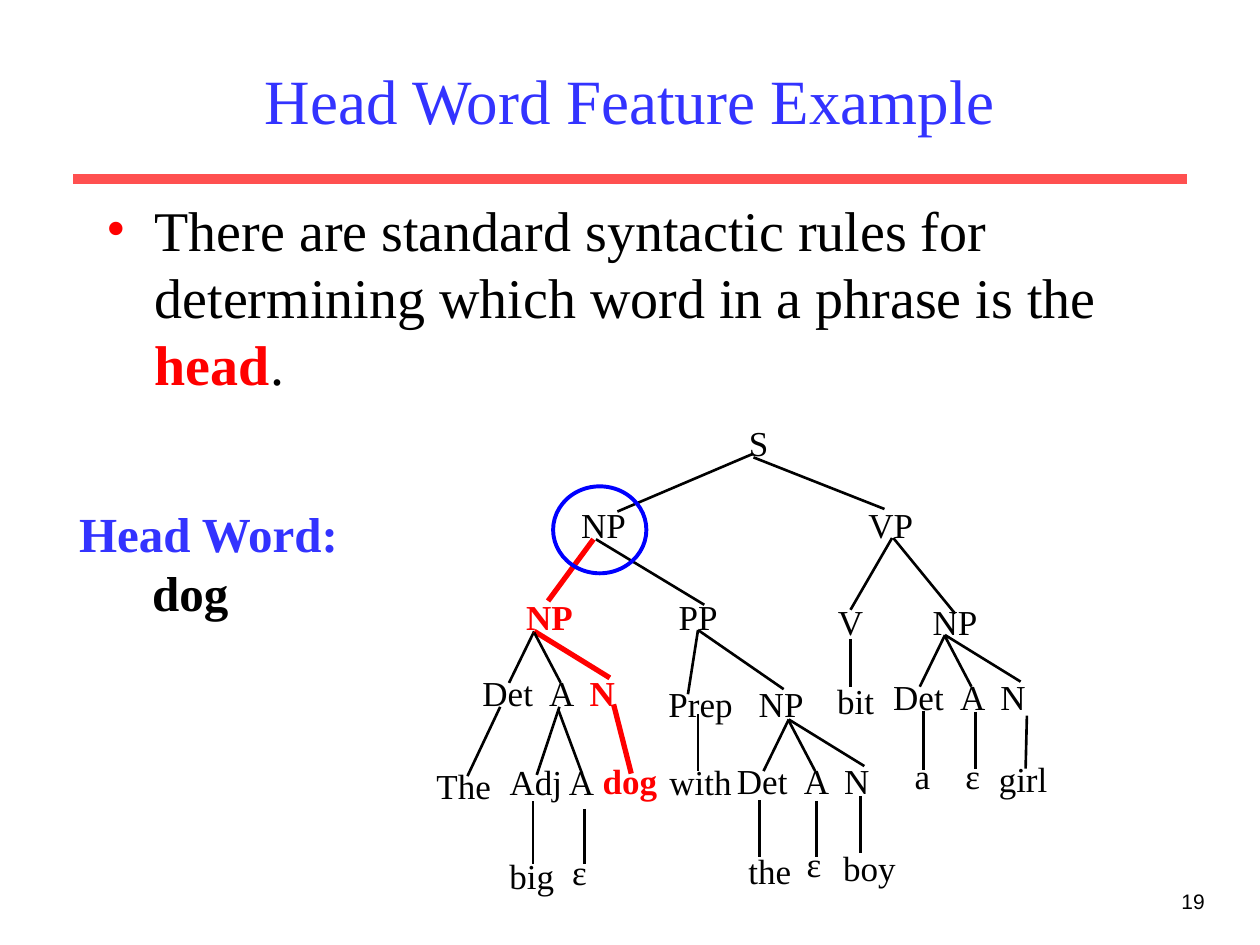
from dataclasses import dataclass
from lxml.etree import SubElement as Sub
from pptx import Presentation
from pptx.dml.color import RGBColor as RGB
from pptx.enum.shapes import MSO_CONNECTOR as Link, MSO_SHAPE as Kind
from pptx.enum.text import MSO_ANCHOR as Anchor, PP_ALIGN as Align
from pptx.oxml.ns import qn
from pptx.util import Inches, Pt


@dataclass(frozen=True)
class Theme:
    black: str = "000000"
    red: str = "FF0000"
    blue: str = "3333FF"
    ring: str = "0000FF"
    rule: str = "FF5050"
    serif: str = "Times New Roman"
    sans: str = "Arial"
    title: int = 36
    body: int = 32
    side: int = 28
    tree: int = 20
    foot: int = 12
    thin: float = 1.5
    thick: float = 3


@dataclass(frozen=True)
class Node:
    word: str
    mid: float
    top: float
    wide: float
    head: bool = False


@dataclass(frozen=True)
class Edge:
    x1: float
    y1: float
    x2: float
    y2: float
    head: bool = False


T = Theme()
deck = Presentation()
deck.slide_width, deck.slide_height = Inches(10), Inches(7.5)
slide = deck.slides.add_slide(deck.slide_layouts[6])


def text_box(x: float, y: float, w: float, h: float, wrap: bool = True):
    box = slide.shapes.add_textbox(Inches(x), Inches(y), Inches(w), Inches(h))
    box.text_frame.word_wrap = wrap
    return box.text_frame


def write(para, text: str, size: int, color: str = T.black,
          bold: bool = False, face: str = T.serif) -> None:
    run = para.add_run()
    run.text = text
    style = {"size": Pt(size), "bold": bold, "name": face}
    for key, value in style.items():
        setattr(run.font, key, value)
    run.font.color.rgb = RGB.from_string(color)


def draw_line(edge: Edge, color: str, width: float) -> None:
    ends = (Inches(v) for v in (edge.x1, edge.y1, edge.x2, edge.y2))
    line = slide.shapes.add_connector(Link.STRAIGHT, *ends)
    line.line.color.rgb = RGB.from_string(color)
    line.line.width = Pt(width)
    Sub(line._element.spPr, qn("a:effectLst"))


def draw_edge(edge: Edge) -> None:
    if edge.head:
        draw_line(edge, T.red, T.thick)
    else:
        draw_line(edge, T.black, T.thin)


def draw_node(node: Node) -> None:
    frame = text_box(node.mid - node.wide / 2, node.top, node.wide, 0.44, False)
    # Slim side margins leave each word room on one line
    frame.margin_left = frame.margin_right = Inches(0.05)
    para = frame.paragraphs[0]
    para.alignment = Align.CENTER
    write(para, node.word, T.tree, T.red if node.head else T.black, node.head)


def draw_fan(x: float, y: float, head: bool = False) -> None:
    """Det, A and N under one noun phrase whose foot is at x, y."""
    draw_edge(Edge(x, y, x - 0.2, y + 0.41))
    draw_edge(Edge(x, y, x + 0.6, y + 0.37, head))
    draw_edge(Edge(x, y + 0.01, x + 0.21, y + 0.41))
    for word, step, wide in (("Det", -0.21, 0.6), ("A", 0.22, 0.4), ("N", 0.54, 0.4)):
        draw_node(Node(word, x + step, y + 0.27, wide, head and word == "N"))


# Rule, page number and title
draw_line(Edge(0.58, 1.42, 9.42, 1.42), T.rule, 6)
para = text_box(7.58, 7, 2.08, 0.5).paragraphs[0]
para.alignment = Align.RIGHT
write(para, "19", T.foot, face=T.sans)

frame = text_box(0.75, 0.25, 8.5, 1.08)
frame.vertical_anchor = Anchor.MIDDLE
para = frame.paragraphs[0]
para.alignment = Align.CENTER
write(para, "Head Word Feature Example", T.title, T.blue)

# Bulleted statement
para = text_box(0.75, 1.5, 8.5, 5.13).paragraphs[0]
para.space_before = Pt(8)
props = para._p.get_or_add_pPr()
props.set("marL", str(Inches(0.38)))
props.set("indent", str(-Inches(0.38)))
Sub(Sub(props, qn("a:buClr")), qn("a:srgbClr"), val=T.red)
Sub(props, qn("a:buFont"), typeface=T.serif)
Sub(props, qn("a:buChar"), char="•")
write(para, "There are standard syntactic rules for determining "
            "which word in a phrase is the ", T.body)
write(para, "head", T.body, T.red, True)
write(para, ".", T.body)

# Parse tree: words
NODES = [
    Node("S", 6.02, 3.3, 0.35),
    Node("NP", 4.79, 3.95, 0.56),
    Node("VP", 7.07, 3.95, 0.56),
    Node("NP", 4.36, 4.68, 0.58, True),
    Node("PP", 5.54, 4.68, 0.52),
    Node("V", 6.75, 4.72, 0.4),
    Node("NP", 7.58, 4.72, 0.56),
    Node("Prep", 5.56, 5.37, 0.72),
    Node("NP", 6.2, 5.37, 0.56),
    Node("bit", 6.79, 5.34, 0.49),
    Node("The", 3.68, 6.02, 0.63),
    Node("Adj A", 4.38, 5.99, 0.89),
    Node("dog", 5, 5.98, 0.63, True),
    Node("with", 5.56, 5.99, 0.69),
    Node("a", 7.32, 5.94, 0.32),
    Node("ε", 7.72, 5.94, 0.31),
    Node("girl", 8.12, 5.96, 0.58),
    Node("big", 4.22, 6.73, 0.55),
    Node("ε", 4.6, 6.7, 0.31),
    Node("the", 6.11, 6.69, 0.54),
    Node("ε", 6.46, 6.64, 0.31),
    Node("boy", 6.9, 6.67, 0.61),
]
for node in NODES:
    draw_node(node)

# Parse tree: branches
EDGES = [
    Edge(5.98, 3.6, 4.9, 4.06), Edge(5.98, 3.63, 7.02, 4.04),
    Edge(4.71, 4.28, 4.35, 4.77, True), Edge(4.73, 4.28, 5.59, 4.8),
    Edge(7.08, 4.27, 6.75, 4.84), Edge(7.09, 4.27, 7.58, 4.87),
    Edge(5.54, 5, 5.46, 5.51), Edge(5.54, 5, 6.22, 5.47),
    Edge(6.75, 5.07, 6.75, 5.45), Edge(3.97, 5.61, 3.71, 6.16),
    Edge(4.44, 5.61, 4.26, 6.15), Edge(4.43, 5.63, 4.62, 6.14),
    Edge(4.87, 5.59, 5.01, 6.14, True), Edge(5.54, 5.67, 5.54, 6.12),
    Edge(7.33, 5.64, 7.33, 6.11), Edge(7.74, 5.65, 7.74, 6.1),
    Edge(8.15, 5.68, 8.14, 6.1), Edge(4.23, 6.36, 4.23, 6.86),
    Edge(4.64, 6.42, 4.64, 6.86), Edge(6.03, 6.35, 6.03, 6.8),
    Edge(6.48, 6.36, 6.48, 6.8), Edge(6.83, 6.32, 6.83, 6.77),
]
for edge in EDGES:
    draw_edge(edge)

# Noun phrases that split into Det, A and N
draw_fan(4.24, 5.01, True)
draw_fan(7.5, 5.04)
draw_fan(6.26, 5.71)

# Ring around the chosen phrase
ring = slide.shapes.add_shape(Kind.OVAL, Inches(4.39), Inches(3.86),
                              Inches(0.74), Inches(0.69))
ring.shadow.inherit = False
ring.fill.background()
ring.line.color.rgb = RGB.from_string(T.ring)
ring.line.width = Pt(2.25)

# Head word note
frame = text_box(0.53, 3.95, 2.28, 1.5, False)
write(frame.paragraphs[0], "Head Word:", T.side, T.blue, True)
para = frame.add_paragraph()
para._p.get_or_add_pPr().set("marL", str(Inches(0.58)))
write(para, "dog", T.side, bold=True)

deck.save("out.pptx")
